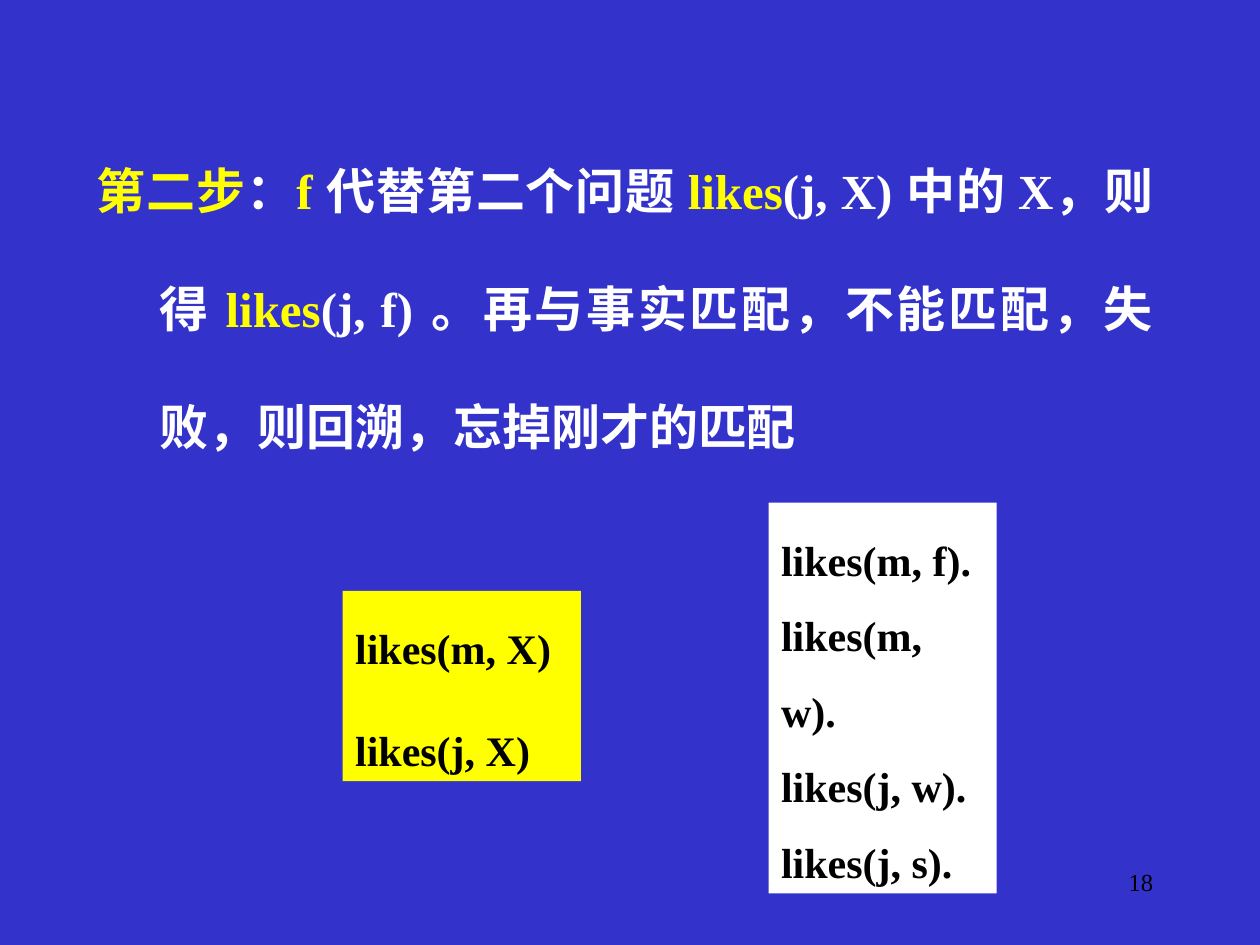
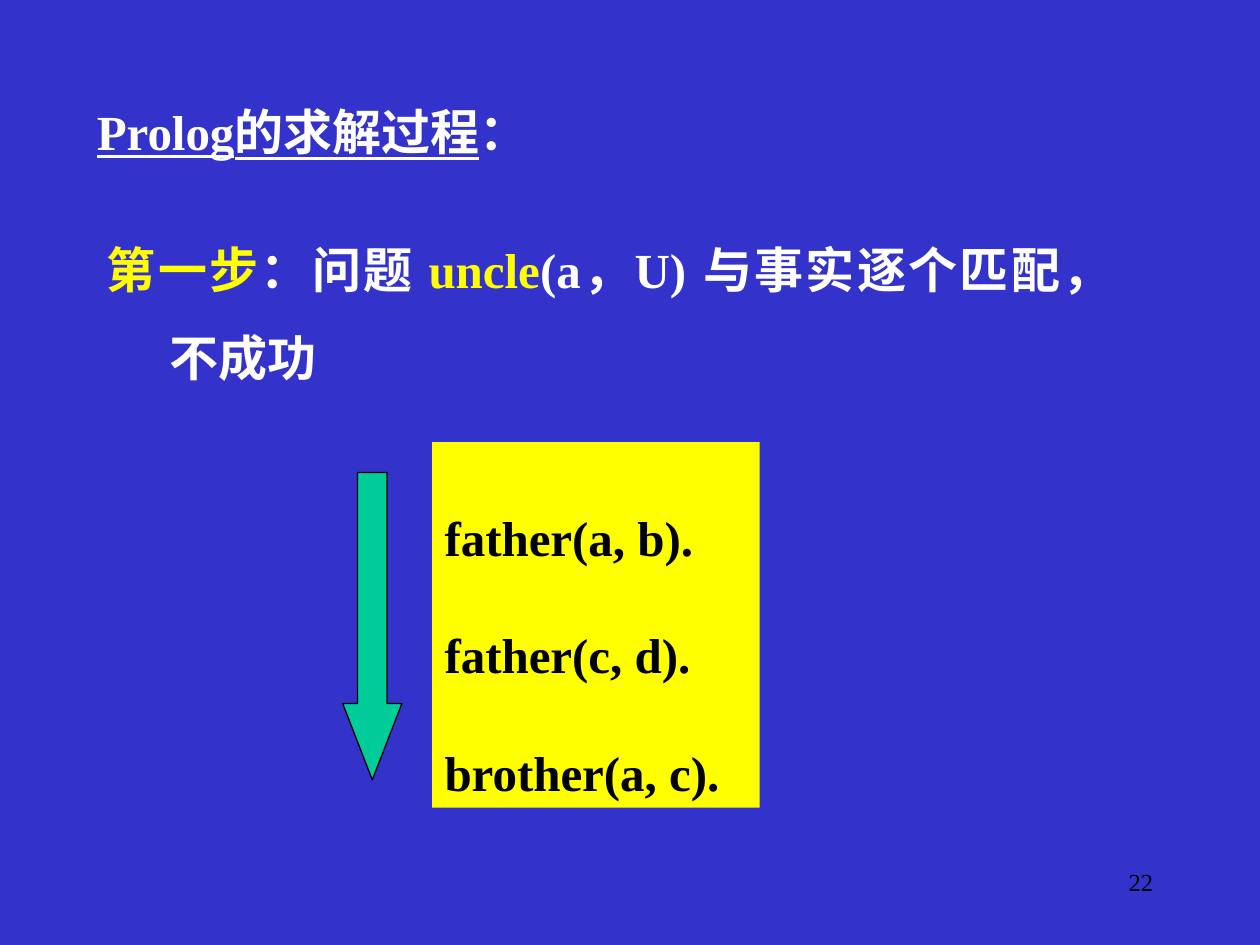
from dataclasses import dataclass

import pptx
import pptx.dml.color
import pptx.enum.shapes
import pptx.enum.text
import pptx.oxml
import pptx.oxml.ns
import pptx.util
from lxml import etree

EMU_PER_PX = 9144  # 100 px to the inch
ALIGN = pptx.enum.text.PP_ALIGN
SHAPE = pptx.enum.shapes.MSO_SHAPE


@dataclass(frozen=True)
class Theme:
    background: str = "3333CC"
    text: str = "FFFFFF"
    accent: str = "FFFF00"
    ink: str = "000000"
    arrow: str = "00CC99"
    latin: str = "Times New Roman"
    chinese: str = "Noto Sans CJK SC"
    body_size: int = 28
    code_size: int = 24
    number_size: int = 14


@dataclass(frozen=True)
class Run:
    text: str
    color: str = Theme.text
    font: str = Theme.latin
    underline: bool = False


def px(length):
    return pptx.util.Emu(length * EMU_PER_PX)


def rgb(color):
    return pptx.dml.color.RGBColor.from_string(color)


class Deck:
    def __init__(self, theme):
        self.theme = theme
        self.prs = pptx.Presentation()
        self.prs.slide_width, self.prs.slide_height = px(1000), px(750)
        fill = self.prs.slide_master.background.fill
        fill.solid()
        fill.fore_color.rgb = rgb(theme.background)
        self.slide = None

    def new_slide(self, number):
        self.slide = self.prs.slides.add_slide(self.prs.slide_layouts[6])
        box = self.text_box(717, 683, 208, 50)
        self.paragraph(box.text_frame.paragraphs[0], str(number),
                       self.theme.number_size, self.theme.ink, bold=False, align=ALIGN.RIGHT)

    def text_box(self, left, top, width, height):
        box = self.slide.shapes.add_textbox(px(left), px(top), px(width), px(height))
        box.text_frame.word_wrap = True
        return box

    def paragraph(self, paragraph, content, size, color, bold=True, align=ALIGN.LEFT, spacing=None):
        """Fill a paragraph with a plain string or with a list of Runs."""
        paragraph.alignment = align
        paragraph.line_spacing = spacing
        font = paragraph.font
        font.size, font.bold = pptx.util.Pt(size), bold
        if isinstance(content, str):
            font.name, font.color.rgb = self.theme.latin, rgb(color)
            paragraph.add_run().text = content
            return
        for part in content:
            run = paragraph.add_run()
            run.text = part.text
            run.font.color.rgb = rgb(part.color)
            run.font.name = part.font
            if part.underline:
                run.font.underline = True
            east_asian = etree.SubElement(run.font._element, pptx.oxml.ns.qn("a:ea"))
            east_asian.set("typeface", self.theme.chinese)

    def heading(self, left, top, width, height, runs):
        box = self.text_box(left, top, width, height)
        paragraph = box.text_frame.paragraphs[0]
        self.paragraph(paragraph, runs, self.theme.body_size, self.theme.text)

    def step(self, left, top, width, height, runs, spacing):
        """Justified text with a hanging indent and no punctuation past the margin."""
        box = self.text_box(left, top, width, height)
        paragraph = box.text_frame.paragraphs[0]
        properties = paragraph._p.get_or_add_pPr()
        properties.set("marL", str(px(50)))
        properties.set("indent", str(px(-50)))
        properties.set("hangingPunct", "0")
        self.paragraph(paragraph, runs, self.theme.body_size, self.theme.text,
                       align=ALIGN.JUSTIFY, spacing=spacing)

    def shape(self, kind, left, top, width, height, fill):
        shape = self.slide.shapes.add_shape(kind, px(left), px(top), px(width), px(height))
        shape.shadow.inherit = False
        shape.fill.solid()
        shape.fill.fore_color.rgb = rgb(fill)
        shape.line.fill.background()
        return shape

    def clauses(self, left, top, width, height, fill, lines, size, spacing, gap=0):
        panel = self.shape(SHAPE.RECTANGLE, left, top, width, height, fill)
        frame = panel.text_frame
        frame.word_wrap = True
        frame.auto_size = pptx.enum.text.MSO_AUTO_SIZE.SHAPE_TO_FIT_TEXT
        frame.vertical_anchor = pptx.enum.text.MSO_ANCHOR.TOP
        for index, line in enumerate(lines):
            paragraph = frame.add_paragraph() if index else frame.paragraphs[0]
            if index and gap:
                paragraph.space_before = pptx.util.Pt(gap)
            self.paragraph(paragraph, line, size, self.theme.ink, spacing=spacing)

    def down_arrow(self, left, top, width, height):
        arrow = self.shape(SHAPE.DOWN_ARROW, left, top, width, height, self.theme.arrow)
        arrow.adjustments[0], arrow.adjustments[1] = 0.5, 1.29
        arrow.line.color.rgb = rgb(self.theme.ink)
        arrow.line.width = pptx.util.Pt(0.75)


def second_step(deck):
    theme = deck.theme
    deck.new_slide(18)
    deck.step(67, 76, 858, 290, [
        Run("第二步", theme.accent, theme.chinese),
        Run("：", font=theme.chinese),
        Run("f ", theme.accent),
        Run("代替第二个问题 ", font=theme.chinese),
        Run("likes", theme.accent),
        Run("(j, X) "),
        Run("中的 ", font=theme.chinese),
        Run("X"),
        Run("，则得 ", font=theme.chinese),
        Run("likes", theme.accent),
        Run("(j, f) "),
        Run("。再与事实匹配，不能匹配，失败，则回溯，忘掉刚才的匹配", font=theme.chinese),
    ], spacing=2.0)
    facts = ["likes(m, f).", "likes(m, w).", "likes(j, w).", "likes(j, s)."]
    deck.clauses(610, 399, 181, 310, theme.text, facts, theme.code_size, spacing=1.5)
    goals = ["likes(m, X)", "likes(j, X)"]
    deck.clauses(272, 469, 189, 151, theme.accent, goals, theme.code_size, spacing=1.5, gap=15)


def first_step(deck):
    theme = deck.theme
    deck.new_slide(22)
    deck.step(75, 162, 817, 150, [
        Run("第一步", theme.accent),
        Run("：问题 "),
        Run("uncle", theme.accent),
        Run("(a，U) 与事实逐个匹配，不成功"),
    ], spacing=1.5)
    deck.heading(67, 76, 508, 57, [Run("Prolog的求解过程", underline=True), Run("：")])
    facts = ["father(a, b).", "father(c, d).", "brother(a, c)."]
    deck.clauses(343, 351, 260, 290, theme.accent, facts, theme.body_size, spacing=2.0)
    deck.down_arrow(272, 375, 47, 244)


def main():
    deck = Deck(Theme())
    second_step(deck)
    first_step(deck)
    deck.prs.save("out.pptx")


if __name__ == "__main__":
    main()
